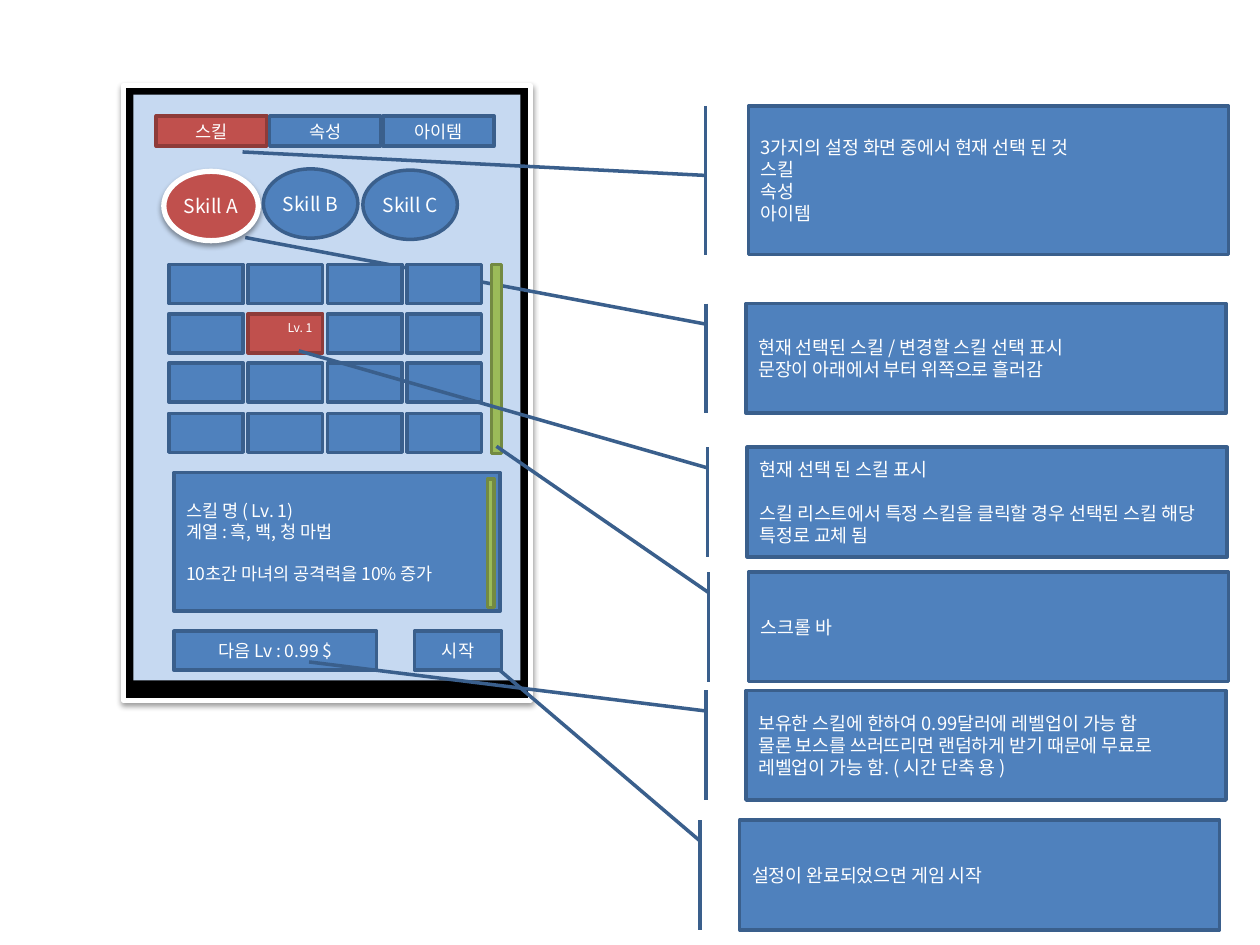
from lxml.etree import SubElement
from pptx import Presentation
from pptx.dml.color import RGBColor
from pptx.enum.shapes import MSO_SHAPE
from pptx.enum.text import MSO_ANCHOR, PP_ALIGN
from pptx.oxml.ns import qn
from pptx.util import Emu, Pt

SCALE = 9144
FONT = "Noto Sans CJK KR"
HUE = {
    "black": "000000", "white": "FFFFFF", "pale": "C6D9F1",
    "blue": "4F81BD", "navy": "3A5F8C", "red": "C0504D",
    "wine": "8E3B39", "green": "9BBB59", "moss": "738A42",
}
EDGE = {"blue": "navy", "red": "wine", "green": "moss"}


def px(size):
    return Emu(size * SCALE)


def color(name):
    return RGBColor.from_string(HUE[name])


def write(shape, text, size=10, align=PP_ALIGN.CENTER, anchor=MSO_ANCHOR.MIDDLE,
          inset=(10, 5, 10, 5), gap=None):
    frame = shape.text_frame
    frame.word_wrap = True
    frame.vertical_anchor = anchor
    (frame.margin_left, frame.margin_top,
     frame.margin_right, frame.margin_bottom) = map(px, inset)
    for spot, line in enumerate(text.split("\n")):
        para = frame.paragraphs[0] if spot == 0 else frame.add_paragraph()
        para.alignment = align
        if spot == gap:
            para.space_before = Pt(size * 1.2)
        run = para.add_run()
        run.text = line
        run.font.size = Pt(size)
        run.font.name = FONT
        run.font.color.rgb = color("white")
        SubElement(run.font._element, qn("a:ea"), typeface=FONT)


class Screen:
    def __init__(self, slide):
        self.slide = slide

    def shape(self, kind, at, fill, edge=None, width=2):
        item = self.slide.shapes.add_shape(kind, *map(px, at))
        item.shadow.inherit = False
        item.fill.solid()
        item.fill.fore_color.rgb = color(fill)
        edge = edge or EDGE.get(fill)
        if edge:
            item.line.color.rgb = color(edge)
            item.line.width = Pt(width)
        else:
            item.line.fill.background()
        return item

    def box(self, at, fill="blue", text=None, **style):
        item = self.shape(MSO_SHAPE.RECTANGLE, at, fill)
        if text:
            write(item, text, **style)

    def shade(self, item):
        effect = item._element.spPr.find(qn("a:effectLst"))
        cast = SubElement(effect, qn("a:outerShdw"), blurRad=str(Pt(3.1)),
                          dist=str(Pt(1.6)), dir="5400000", rotWithShape="0")
        tint = SubElement(cast, qn("a:srgbClr"), val=HUE["black"])
        SubElement(tint, qn("a:alpha"), val="38000")

    def panel(self, at):
        self.shade(self.shape(MSO_SHAPE.RECTANGLE, at, "black", "white", 3))

    def skill(self, left, top, text, chosen=False):
        look = ("red", "white", 3) if chosen else ("blue",)
        item = self.shape(MSO_SHAPE.OVAL, (left, top, 75, 55), *look)
        if chosen:
            self.shade(item)
        write(item, text, size=11, inset=(0, 0, 0, 0))

    def note(self, left, top, text, tip, high=87, root=(0.188, -0.083), gap=None):
        item = self.shape(MSO_SHAPE.LINE_CALLOUT_1_BORDER_AND_ACCENT_BAR,
                          (left, top, 381, high), "blue")
        for spot, value in enumerate(root + tip):
            item.adjustments[spot] = value
        write(item, text, size=10.5, align=PP_ALIGN.LEFT, gap=gap)

    def grid(self):
        for row in range(4):
            for col in range(4):
                at = (134 + 63 * col, 210 + round(39.2 * row), 59, 31)
                if (row, col) == (1, 1):
                    self.box(at, "red", "Lv. 1", size=7, align=PP_ALIGN.RIGHT,
                             anchor=MSO_ANCHOR.TOP, inset=(0, 5, 8, 5))
                else:
                    self.box(at)


def main():
    deck = Presentation()
    deck.slide_width, deck.slide_height = px(1000), px(750)
    page = Screen(deck.slides.add_slide(deck.slide_layouts[6]))

    page.panel((98, 68, 323, 488))
    page.box((106, 75, 307, 465), "pale")
    page.note(592, 241, "현재 선택된 스킬 / 변경할 스킬 선택 표시\n"
              "문장이 아래에서 부터 위쪽으로 흘러감", (-0.603, -1.043))
    page.note(587, 651, "설정이 완료되었으면 게임 시작", (-1.414, -0.512))
    page.box((329, 501, 69, 31), text="시작")
    page.skill(130, 136, "Skill A", chosen=True)
    page.skill(209, 134, "Skill B")
    page.skill(288, 135, "Skill C")
    for spot, name in enumerate(("스킬", "속성", "아이템")):
        page.box((124 + 90 * spot, 92, 88, 24), "blue" if spot else "red", name)
    page.box((138, 375, 259, 110), text="스킬 명 ( Lv. 1)\n계열 : 흑, 백, 청 마법\n"
             "10초간 마녀의 공격력을 10% 증가", align=PP_ALIGN.LEFT, gap=2)
    page.grid()
    page.box((390, 210, 8, 150), "green")
    page.note(593, 355, "현재 선택 된 스킬 표시\n"
              "스킬 리스트에서 특정 스킬을 클릭할 경우 선택된 스킬 해당 특정로 교체 됨",
              (-0.88, -0.934), gap=1)
    page.note(594, 454, "스크롤 바", (-1.147, -0.525))
    page.box((387, 380, 5, 102), "green")
    page.note(594, 84, "3가지의 설정 화면 중에서 현재 선택 된 것\n스킬\n속성\n아이템",
              (0.31, -1.054), high=118, root=(0.468, -0.09))
    page.box((138, 501, 161, 31), text="다음 Lv : 0.99 $")
    page.note(592, 548, "보유한 스킬에 한하여 0.99달러에 레벨업이 가능 함\n"
              "물론 보스를 쓰러뜨리면 랜덤하게 받기 때문에 무료로 레벨업이 가능 함. ( 시간 단축 용 )",
              (-0.26, -0.91))
    deck.save("out.pptx")


if __name__ == "__main__":
    main()
